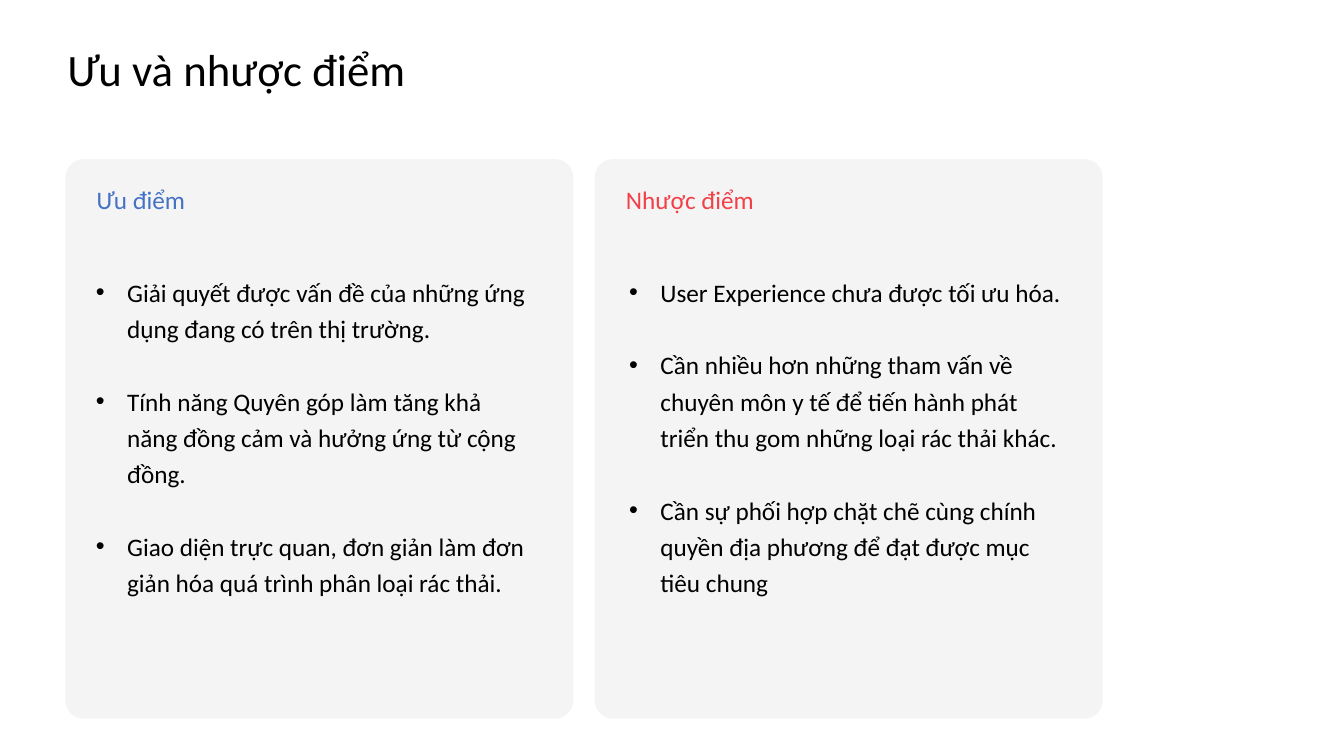
import lxml.etree
import pptx
import pptx.dml.color
import pptx.enum.shapes
import pptx.enum.text
import pptx.oxml.ns
import pptx.util

Cm = pptx.util.Cm
Pt = pptx.util.Pt

COLOURS = {
    "text": "000000",
    "card": "F2F2F2",
    "pros": "4472C4",
    "pros_end": "5AD8CC",
    "cons": "F24049",
    "cons_end": "FBEE37",
}
FRAME = {
    "word_wrap": True,
    "auto_size": pptx.enum.text.MSO_AUTO_SIZE.NONE,
    "vertical_anchor": pptx.enum.text.MSO_ANCHOR.TOP,
}
PARAGRAPH = {"line_spacing": 1.2, "alignment": pptx.enum.text.PP_ALIGN.LEFT}
TITLE_FONT = {"name": "Calibri", "size": Pt(32), "bold": False}
CARD_FONT = {"name": "Calibri", "size": Pt(18), "bold": False}

CARDS = [
    {
        "heading": "Ưu điểm",
        "gradient": [("pros", 0.13), ("pros_end", 1)],
        "list_inset": 0.51,
        "points": [
            "Giải quyết được vấn đề của những ứng dụng đang có trên thị trường.",
            "Tính năng Quyên góp làm tăng khả năng đồng cảm và hưởng ứng từ cộng đồng.",
            "Giao diện trực quan, đơn giản làm đơn giản hóa quá trình phân loại rác thải.",
        ],
    },
    {
        "heading": "Nhược điểm",
        "gradient": [("cons", 0.49), ("cons_end", 1)],
        "list_inset": 0.61,
        "points": [
            "User Experience chưa được tối ưu hóa.",
            "Cần nhiều hơn những tham vấn về chuyên môn y tế để tiến hành phát triển thu gom những loại rác thải khác.",
            "Cần sự phối hợp chặt chẽ cùng chính quyền địa phương để đạt được mục tiêu chung",
        ],
    },
]


def rgb(key):
    """Return the named colour."""
    return pptx.dml.color.RGBColor.from_string(COLOURS[key])


def apply(target, values):
    """Set every attribute in values on target."""
    for attribute, value in values.items():
        setattr(target, attribute, value)


def fill_text(holder, box, lines, font, gap=0):
    """Place a placeholder in box (cm) and write its lines as paragraphs."""
    apply(holder, dict(zip(("left", "top", "width", "height"), map(Cm, box))))
    frame = holder.text_frame
    apply(frame, FRAME)
    frame.text = "\n".join(lines)
    for position, paragraph in enumerate(frame.paragraphs):
        apply(paragraph, PARAGRAPH)
        apply(paragraph, {"space_before": Pt(gap if position else 0), "space_after": Pt(0)})
        apply(paragraph.runs[0].font, font)
        paragraph.runs[0].font.fill.solid()
        paragraph.runs[0].font.fill.fore_color.rgb = rgb("text")
    return frame.paragraphs


def add_panel(slide, box):
    """Draw the translucent rounded panel behind the placeholders."""
    panel = slide.shapes.add_shape(
        pptx.enum.shapes.MSO_SHAPE.ROUNDED_RECTANGLE, *map(Cm, box))
    panel.adjustments[0] = 0.036
    panel.shadow.inherit = False
    panel.line.fill.background()
    panel.fill.solid()
    panel.fill.fore_color.rgb = rgb("card")
    colour = panel.fill._xPr.find(".//" + pptx.oxml.ns.qn("a:srgbClr"))
    lxml.etree.SubElement(colour, pptx.oxml.ns.qn("a:alpha"), val="80000")
    slide.shapes._spTree.insert(2, panel._element)


def add_card(slide, box, card, heading, points):
    """Build one card with its heading and bulleted points inside box (cm)."""
    left, top, width, height = box
    add_panel(slide, box)
    title = fill_text(heading, (left + 0.53, top + 0.36, 7.32, 1.12),
                      [card["heading"]], CARD_FONT)[0]
    fill = title.runs[0].font.fill
    fill.gradient()
    fill.gradient_angle = 0
    for stop, (colour, position) in zip(fill.gradient_stops, card["gradient"]):
        stop.color.rgb = rgb(colour)
        stop.position = position
    items = fill_text(points, (left + card["list_inset"], top + 2.69, 11.56, height - 2.82),
                      card["points"], CARD_FONT, gap=26)
    for item in items:
        properties = item._p.get_or_add_pPr()
        properties.set("marL", str(Cm(0.79)))
        properties.set("indent", str(-Cm(0.79)))


def add_comparison(deck):
    """Build the slide weighing strengths against weaknesses."""
    slide = deck.slides.add_slide(deck.slide_layouts.get_by_name("Comparison"))
    title, *holders = slide.placeholders
    fill_text(title, (1.45, 0.66, 12.12, 1.78), ["Ưu và nhược điểm"], TITLE_FONT)
    left, top, width, height, gutter = 1.65, 4.01, 12.8, 14.1, 0.54
    for column, card in enumerate(CARDS):
        box = (left + column * (width + gutter), top, width, height)
        add_card(slide, box, card, *holders[2 * column:2 * column + 2])


def main():
    """Create and save the deck."""
    deck = pptx.Presentation()
    apply(deck, {"slide_width": Cm(33.87), "slide_height": Cm(19.05)})
    add_comparison(deck)
    deck.save("out.pptx")


if __name__ == "__main__":
    main()
